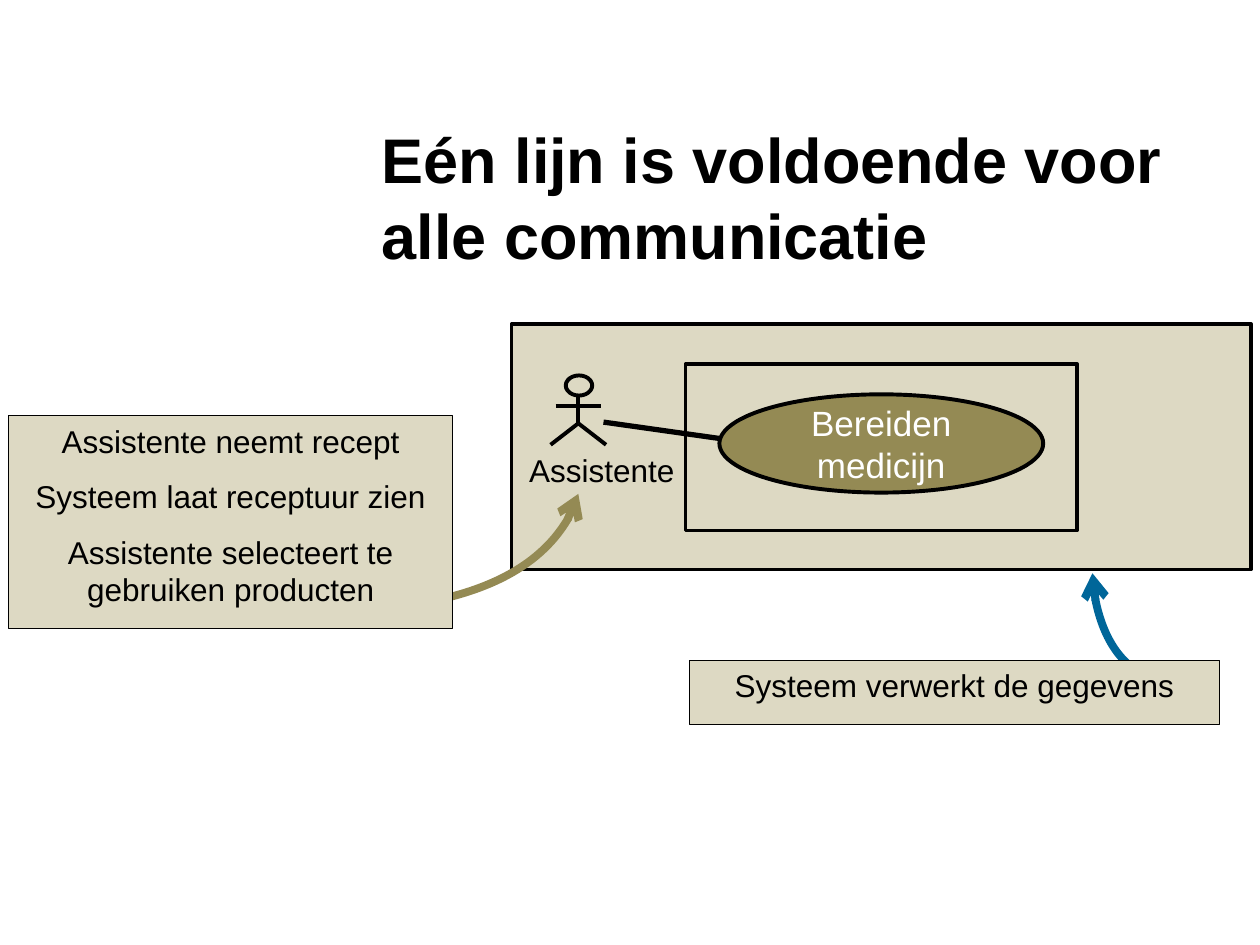
from lxml import etree
from pptx import Presentation
from pptx.dml.color import RGBColor
from pptx.enum.shapes import MSO_CONNECTOR as Connector, MSO_SHAPE as Shape
from pptx.enum.text import MSO_ANCHOR as Anchor, PP_ALIGN as Align
from pptx.oxml.ns import qn
from pptx.util import Inches, Pt

BLACK = RGBColor(0x00, 0x00, 0x00)
WHITE = RGBColor(0xFF, 0xFF, 0xFF)
SAND = RGBColor(0xDD, 0xD9, 0xC3)
OLIVE = RGBColor(0x94, 0x8A, 0x54)
BLUE = RGBColor(0x00, 0x66, 0x99)


def write(shape, lines, size, color=BLACK, bold=False, align=Align.LEFT,
          anchor=Anchor.TOP, insets=(0, 0, 0, 0), wrap=True):
    """Fill a shape with one paragraph per line; insets are left, top, right, bottom."""
    frame = shape.text_frame
    frame.word_wrap = wrap
    frame.vertical_anchor = anchor
    frame.margin_left, frame.margin_top, frame.margin_right, frame.margin_bottom = map(Inches, insets)
    for index, line in enumerate(lines):
        para = frame.add_paragraph() if index else frame.paragraphs[0]
        para.alignment = align
        para.space_before = Pt(10 if index else 0)
        span = para.add_run()
        span.text = line
        span.font.name = "Arial"
        span.font.size = Pt(size)
        span.font.bold = bold
        span.font.color.rgb = color


def add_figure(shapes, kind, box, line_width, fill=None):
    figure = shapes.add_shape(kind, *map(Inches, box))
    figure.shadow.inherit = False
    if fill is None:
        figure.fill.background()
    else:
        figure.fill.solid()
        figure.fill.fore_color.rgb = fill
    figure.line.color.rgb = BLACK
    figure.line.width = Pt(line_width)
    return figure


def add_line(shapes, start, end, width):
    line = shapes.add_connector(Connector.STRAIGHT, *map(Inches, (*start, *end)))
    line.line.color.rgb = BLACK
    line.line.width = Pt(width)
    etree.SubElement(line._element.spPr, qn("a:effectLst"))


def add_title(page, box):
    title = page.shapes.add_textbox(*map(Inches, box))
    write(title, ["Eén lijn is voldoende voor alle communicatie"], 36,
          bold=True, anchor=Anchor.BOTTOM)


def add_actor(page, box):
    """Draw a stick figure: head, trunk, arms and two legs."""
    left, top, width, height = box
    center, neck, hip = left + width / 2, top + 0.16, top + 0.38
    arms, feet = top + 0.24, top + height
    parts = page.shapes.add_group_shape().shapes
    add_figure(parts, Shape.OVAL, (center - 0.1, top, 0.21, 0.16), 2.25)
    for start, end in (
        ((center, neck), (center, hip)),
        ((center - 0.18, arms), (center + 0.18, arms)),
        ((left + width, feet), (center, hip)),
        ((left, feet), (center, hip)),
    ):
        add_line(parts, start, end, 2.25)


def add_actor_name(page, box):
    name = page.shapes.add_textbox(*map(Inches, box))
    write(name, ["Assistente"], 18, insets=(0.09, 0.04, 0.09, 0.04), wrap=False)


def add_use_case(page, box):
    oval = add_figure(page.shapes, Shape.OVAL, box, 2.25, OLIVE)
    write(oval, ["Bereiden medicijn"], 20, WHITE, align=Align.CENTER,
          anchor=Anchor.MIDDLE, insets=(0.12, 0.06, 0.12, 0.06))


def add_note(page, box, lines):
    note = add_figure(page.shapes, Shape.RECTANGLE, box, 0.75, SAND)
    write(note, lines, 18, align=Align.CENTER, insets=(0.1, 0.05, 0.1, 0.15))


def add_curved_arrow(page, points, color):
    """Draw a cubic curve through start, two control points and tip, with a head at the tip."""
    start, *others = [(Inches(x), Inches(y)) for x, y in points]
    builder = page.shapes.build_freeform(*start)
    builder.add_line_segments(others, close=False)
    arrow = builder.convert_to_shape()
    arrow.shadow.inherit = False
    arrow.fill.background()
    arrow.line.color.rgb = color
    arrow.line.width = Pt(4.5)
    outline = arrow._element.spPr.find(qn("a:ln"))
    etree.SubElement(outline, qn("a:tailEnd"), type="arrow")
    track = next(arrow._element.iter(qn("a:path")))
    segments = track.findall(qn("a:lnTo"))
    curve = etree.SubElement(track, qn("a:cubicBezTo"))
    for segment in segments:
        curve.append(segment[0])
        track.remove(segment)


def build_slide(deck):
    page = deck.slides.add_slide(deck.slide_layouts[6])
    add_title(page, (3.03, 1.45, 6.67, 0.71))
    add_figure(page.shapes, Shape.RECTANGLE, (4.06, 2.57, 5.87, 1.95), 2, SAND)
    add_actor(page, (4.37, 2.98, 0.44, 0.55))
    add_actor_name(page, (4.11, 3.54, 1.45, 0.39))
    add_use_case(page, (5.71, 3.13, 2.57, 0.78))
    add_curved_arrow(page, [(9.28, 5.42), (8.94, 5.37), (8.68, 5), (8.67, 4.55)], BLUE)
    add_curved_arrow(page, [(3.12, 4.82), (3.89, 4.73), (4.48, 4.37), (4.59, 3.92)], OLIVE)
    add_note(page, (0.07, 3.3, 3.52, 1.69), [
        "Assistente neemt recept",
        "Systeem laat receptuur zien",
        "Assistente selecteert te gebruiken producten",
    ])
    add_note(page, (5.47, 5.24, 4.21, 0.51), ["Systeem verwerkt de gegevens"])
    add_line(page.shapes, (4.79, 3.35), (5.71, 3.48), 3)
    add_figure(page.shapes, Shape.RECTANGLE, (5.44, 2.89, 3.11, 1.32), 2)


def main():
    deck = Presentation()
    deck.slide_width = Inches(10)
    deck.slide_height = Inches(7.5)
    build_slide(deck)
    deck.save("out.pptx")


if __name__ == "__main__":
    main()
